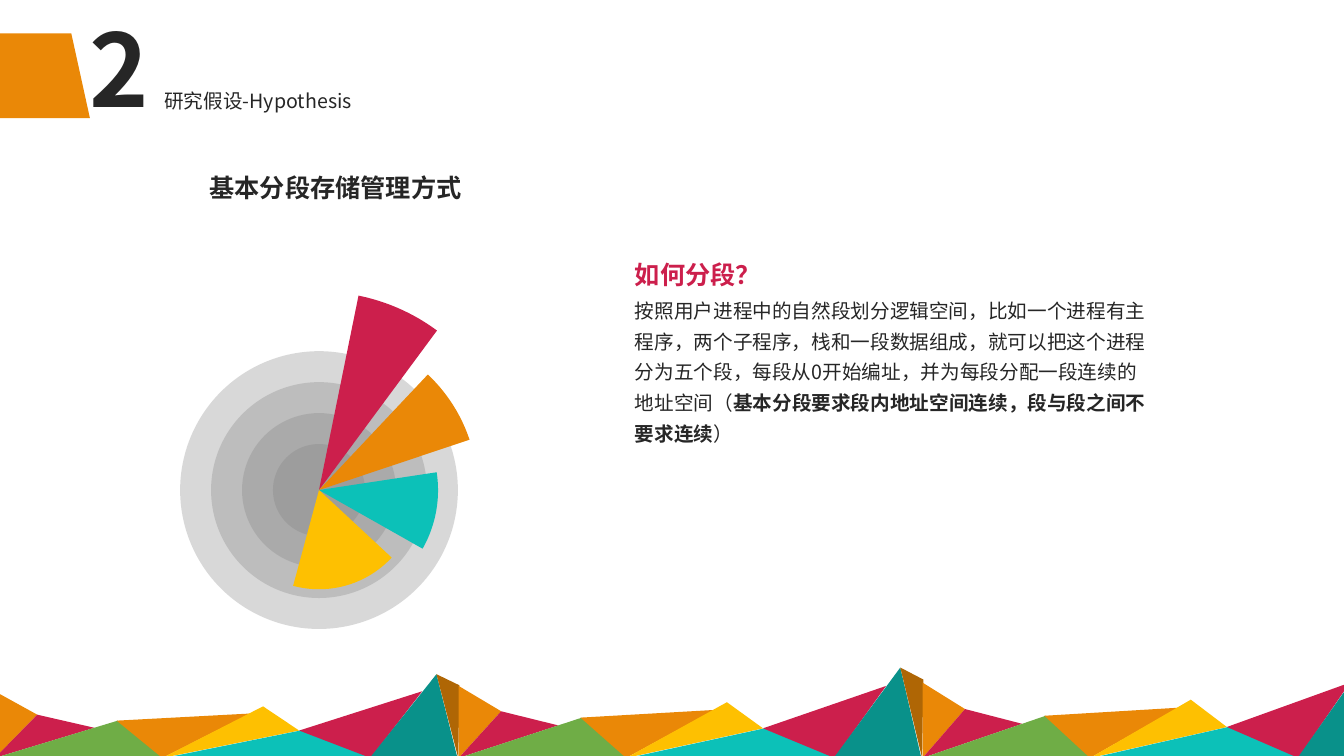
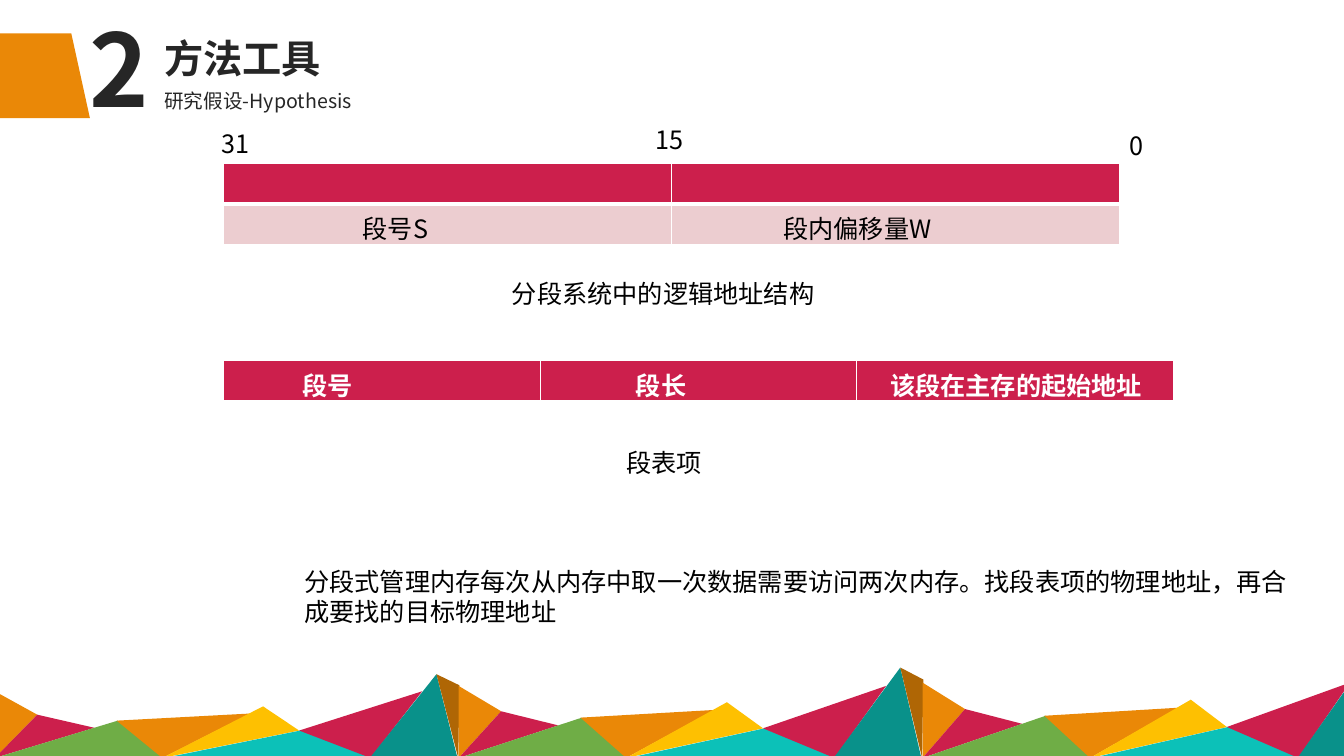
from lxml import etree
from pptx import Presentation
from pptx.dml.color import RGBColor
from pptx.enum import shapes, text
from pptx.oxml.ns import qn
from pptx.util import Cm, Pt

FONT = "Noto Sans CJK SC"
COLORS = {
    "orange": "EA8807", "crimson": "CC1F4C", "green": "6FAD46",
    "yellow": "FEC001", "turquoise": "0CC1B8", "teal": "09918A",
    "brown": "AF6605", "pink": "ECCDD0", "gray": "808080",
    "ink": "262626", "black": "000000", "white": "FFFFFF",
}
WIDTH, HEIGHT = 33.87, 19.05

# One mountain range: colour and corners as (distance from its left, height), in cm
RANGE_WIDTH = 11.69
RANGE = [
    ("orange", [(0, 0), (0, 1.68), (1.07, 1.09)]),
    ("crimson", [(0, 0), (1.07, 1.09), (2.51, 0.76)]),
    ("green", [(0, 0), (3.1, 0.94), (4.27, 0)]),
    ("orange", [(3.07, 0.94), (6.45, 1.12), (4.22, 0)]),
    ("yellow", [(7.67, 0.69), (4.22, 0), (6.76, 1.3)]),
    ("turquoise", [(9.52, 0), (4.27, 0), (7.7, 0.69)]),
    ("crimson", [(9.47, 0), (7.67, 0.69), (10.77, 1.68)]),
    ("teal", [(11.66, 0), (9.45, 0), (11.13, 2.11)]),
    ("brown", [(11.71, 1.83), (11.68, 0), (11.13, 2.11)]),
]
RANGE_SCALES = [1, 1.08, 1.13]


def rgb(name):
    return RGBColor.from_string(COLORS[name])


def paint(sp, color, alpha=None):
    """Give a shape a plain fill, without line or shadow; alpha is in percent."""
    sp.shadow.inherit = False
    sp.line.fill.background()
    sp.fill.solid()
    sp.fill.fore_color.rgb = rgb(color)
    if alpha is not None:
        clr = sp.fill._xPr.find(".//" + qn("a:srgbClr"))
        etree.SubElement(clr, qn("a:alpha")).set("val", str(alpha * 1000))
    return sp


def style(p, size, color, bold=None):
    font = p.font
    font.size, font.bold, font.name = Pt(size), bold, FONT
    font.color.rgb = rgb(color)
    etree.SubElement(font._element, qn("a:ea")).set("typeface", FONT)


def add_text(slide, box, runs, size=18, color="black", bold=None, spacing=None,
             wrap=False, anchor=text.MSO_ANCHOR.TOP):
    """Add one paragraph; runs is a string or a list of (string, bold)."""
    tf = slide.shapes.add_textbox(*map(Cm, box)).text_frame
    tf.word_wrap = wrap
    tf.vertical_anchor = anchor
    p = tf.paragraphs[0]
    p.line_spacing = spacing
    style(p, size, color, bold)
    if isinstance(runs, str):
        p.add_run().text = runs
    else:
        for words, run_bold in runs:
            r = p.add_run()
            r.text, r.font.bold = words, run_bold


def add_triangle(slide, points, color):
    corners = [(Cm(x), Cm(y)) for x, y in points]
    builder = slide.shapes.build_freeform(*corners[0])
    builder.add_line_segments(corners[1:], close=True)
    paint(builder.convert_to_shape(), color)


def add_mountains(slide):
    for i, scale in enumerate(RANGE_SCALES):
        left = i * RANGE_WIDTH - 0.13
        for color, corners in RANGE:
            points = [(left + x, 19.1 - h * scale) for x, h in corners]
            if min(x for x, _ in points) < WIDTH:
                add_triangle(slide, points, color)


def share_on_layout(slide, layout):
    """Draw the band and number tab once and move them to the layout."""
    for ph in list(layout.placeholders):
        ph.element.getparent().remove(ph.element)
    add_mountains(slide)
    tab = slide.shapes.add_shape(shapes.MSO_SHAPE.FLOWCHART_MANUAL_INPUT,
                                 Cm(0.03), Cm(0.74), Cm(2.13), Cm(2.34))
    tab.rotation = 90
    paint(tab, "orange")
    for sp in list(slide.shapes):
        layout.shapes.element.append(sp.element)


def add_heading(slide, number, subtitle, title=None):
    middle = text.MSO_ANCHOR.MIDDLE
    add_text(slide, (2, 0.63, 1.88, 2.51), number, 72, "ink", True, 0.9,
             True, middle)
    if title:
        add_text(slide, (3.89, 0.89, 8.76, 1.3), title, 28, "ink", True, 0.9,
                 True, middle)
    add_text(slide, (3.89, 2.18, 8.76, 0.97), subtitle, 14, "ink", None, 0.9, True)


def add_round(slide, kind, diameter, color, alpha=None):
    """Add a shape centred on the middle of the fan."""
    sp = slide.shapes.add_shape(kind, Cm(8.04 - diameter / 2),
                                Cm(12.35 - diameter / 2), Cm(diameter), Cm(diameter))
    return paint(sp, color, alpha)


def add_fan(slide):
    for i in range(4):
        add_round(slide, shapes.MSO_SHAPE.OVAL, 7 - 1.56 * i, "gray", 30)
    for diameter, start, end, color in [
        (10, 281.5, 306.5, "crimson"), (8, 313.3, 341.5, "orange"),
        (6, 351.4, 29.5, "turquoise"), (5, 42.9, 105.1, "yellow"),
    ]:
        pie = add_round(slide, shapes.MSO_SHAPE.PIE, diameter, color)
        for i, degrees in enumerate((start, end)):
            pie.adjustments[i] = degrees * 0.6  # 60000 units a degree, over 100000


def add_borders(cell, bottom):
    tcPr = cell._tc.get_or_add_tcPr()
    for i, (side, width) in enumerate(zip("LRTB", (1, 1, 1, bottom))):
        ln = etree.Element(qn("a:ln" + side), w=str(Pt(width)))
        fill = etree.SubElement(ln, qn("a:solidFill"))
        etree.SubElement(fill, qn("a:srgbClr")).set("val", COLORS["white"])
        tcPr.insert(i, ln)


def add_table(slide, top, width, rows):
    """Each cell is (words, left margin in cm); the first row is the header."""
    row_height = 1.03
    table = slide.shapes.add_table(len(rows), len(rows[0]), Cm(5.64), Cm(top),
                                   Cm(width), Cm(row_height * len(rows))).table
    for i, row in enumerate(rows):
        header = i == 0
        for j, (words, margin) in enumerate(row):
            cell = table.cell(i, j)
            cell.fill.solid()
            cell.fill.fore_color.rgb = rgb("crimson" if header else "pink")
            add_borders(cell, 3 if header else 1)
            cell.margin_left = Cm(margin)
            p = cell.text_frame.paragraphs[0]
            style(p, 18, "white" if header else "black", header)
            if words:
                p.add_run().text = words


def fill_how_to_segment(slide):
    add_heading(slide, "2", "研究假设-Hypothesis")
    add_fan(slide)
    add_text(slide, (15.75, 7.24, 13.59, 4.06), [
        ("按照用户进程中的自然段划分逻辑空间，比如一个进程有主程序，两个子程序，"
         "栈和一段数据组成，就可以把这个进程分为五个段，每段从0开始编址，"
         "并为每段分配一段连续的地址空间（", None),
        ("基本分段要求段内地址空间连续，段与段之间不要求连续", True),
        ("）", None),
    ], 14, "ink", spacing=1.3, wrap=True)
    add_text(slide, (15.75, 6.4, 3.71, 1.02), "如何分段？", 18, "crimson", True)
    add_text(slide, (5.03, 3.99, 6.93, 1.17), "基本分段存储管理方式", 18, "ink",
             True, 1.3)


def fill_address_structure(slide):
    add_heading(slide, "2", "研究假设-Hypothesis", "方法工具")
    add_table(slide, 4.11, 22.58, [
        [("", 0.25), ("", 0.25)],
        [("段号S", 3.5), ("段内偏移量W", 2.81)],
    ])
    add_table(slide, 9.09, 23.93, [
        [("段号", 1.99), ("段长", 2.41), ("该段在主存的起始地址", 0.84)],
    ])
    for left, top, width, words in [
        (12.65, 6.88, 8.2, "分段系统中的逻辑地址结构"),
        (28.22, 3.15, 0.89, "0"),
        (16.26, 3, 1.35, "15"),
        (5.33, 3.12, 1.27, "31"),
        (15.54, 11.15, 2.44, "段表项"),
    ]:
        add_text(slide, (left, top, width, 1.02), words)
    add_text(slide, (7.42, 14.15, 25.53, 1.8),
             "分段式管理内存每次从内存中取一次数据需要访问两次内存。"
             "找段表项的物理地址，再合成要找的目标物理地址", wrap=True)


def main():
    prs = Presentation()
    prs.slide_width, prs.slide_height = Cm(WIDTH), Cm(HEIGHT)
    blank = prs.slide_layouts[6]
    first, second = [prs.slides.add_slide(blank) for _ in range(2)]
    share_on_layout(first, blank)
    fill_how_to_segment(first)
    fill_address_structure(second)
    prs.save("out.pptx")


if __name__ == "__main__":
    main()
